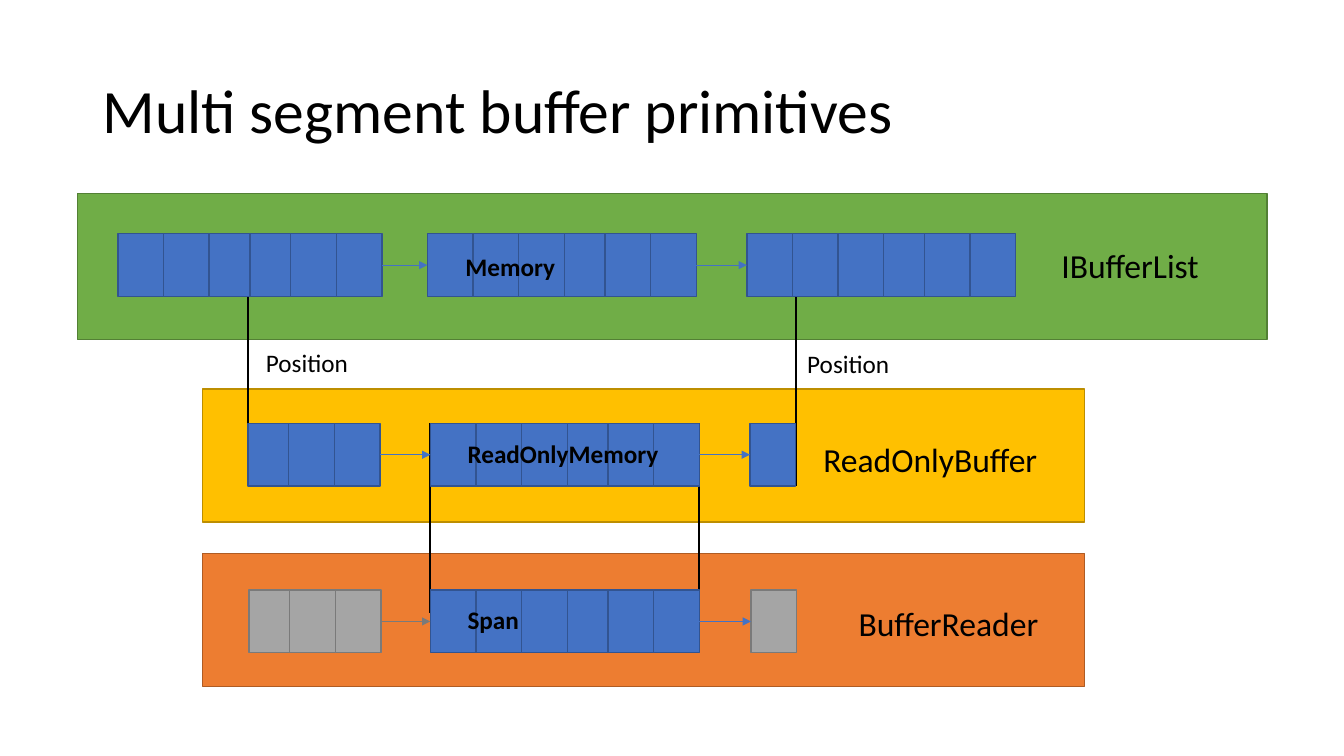
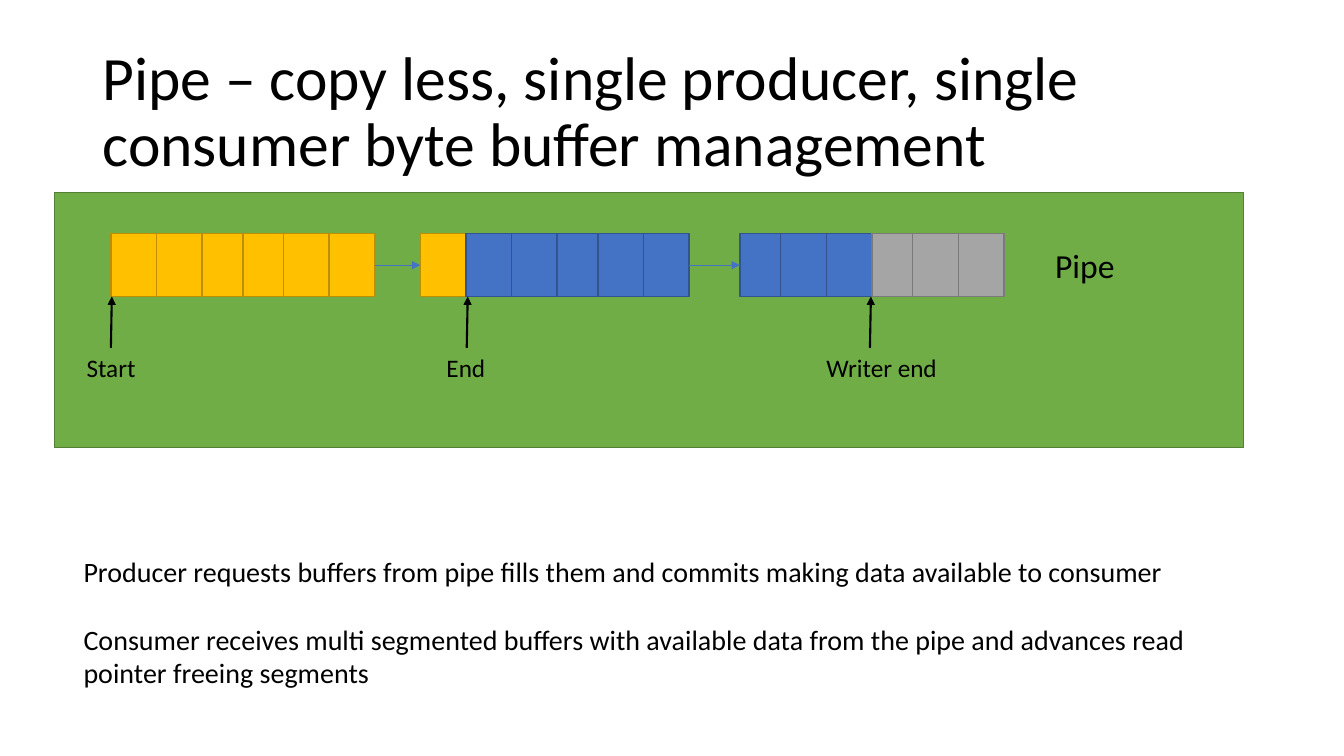
from lxml import etree
from pptx import Presentation
from pptx.dml.color import RGBColor
from pptx.enum.shapes import MSO_CONNECTOR, MSO_SHAPE
from pptx.enum.text import MSO_ANCHOR, MSO_AUTO_SIZE
from pptx.oxml.ns import qn
from pptx.util import Pt

RECTANGLE = MSO_SHAPE.RECTANGLE
STRAIGHT = MSO_CONNECTOR.STRAIGHT
MIDDLE = MSO_ANCHOR.MIDDLE
FIT_SHAPE = MSO_AUTO_SIZE.SHAPE_TO_FIT_TEXT

FONT = "Calibri"
BLACK, WHITE = "000000", "FFFFFF"
# Fill and outline of each colour, keyed by its initial
PALETTE = {
    "B": ("4472C4", "325491"),
    "Y": ("FFC000", "BD8E00"),
    "A": ("A5A5A5", "7A7A7A"),
    "G": ("70AD47", "538035"),
    "O": ("ED7D31", "AF5C24"),
}
TITLE_BOX = (66.2, 28.8, 828, 104.4)
CELL_WIDTH, CELL_HEIGHT, TIGHT_STEP = 32.6, 44.8, 29.1
LINK_LENGTH = 135.4
POINTER_BASE, POINTER_TIP = 248.4, 211.8
POINTER_SLANT = 0.7

# band: colour, left, top, width, height
# row: top, [(left, cells)]; a lower-case cell overlaps the one before it
# name, tag, note: text, left, top, width
# link: left, top; pointer: left of its base
SLIDES = [
    {
        "title": "Multi segment buffer primitives",
        "bands": [
            ("O", 144.7, 395.3, 630, 95),
            ("Y", 144.7, 277.9, 630, 95),
            ("G", 55.4, 138.2, 849.6, 104.4),
        ],
        "links": [(499, 302.4), (307.4, 302.4), (177.1, 211.7), (568.8, 211.7)],
        "rows": [
            (167, [(84.2, "BBBbbB"), (305.3, "BBBBbB"), (533.5, "BBBBbB")]),
            (302.4, [(177.1, "BbB"), (307.4, "BBBBbB"), (535.7, "B")]),
            (421.5, [(177.8, "AaA"), (307.4, "BBBBbB"), (536.4, "A")]),
        ],
        "names": [
            ("IBufferList", 751, 171.4, 114.5),
            ("ReadOnlyBuffer", 581, 310.3, 169.2),
            ("BufferReader", 606.2, 427, 144.7),
        ],
        "tags": [
            ("Memory", 325.4, 175.7, 79.2),
            ("ReadOnlyMemory", 326.9, 309.6, 151.9),
            ("Span", 326.9, 428.4, 51.8),
        ],
        "notes": [("Position", 182.9, 244.8, 73.4), ("Position", 569.5, 245.5, 73.4)],
        "pointers": [],
        "body": [],
    },
    {
        "title": "Pipe – copy less, single producer, single consumer byte buffer management",
        "bands": [("G", 38.9, 137.5, 849.6, 182.2)],
        "links": [],
        "rows": [(167, [(79.2, "YYYyyY"), (300.2, "YBBBbB"), (528.5, "BbBAaA")])],
        "names": [("Pipe", 746.6, 171.4, 57.6)],
        "tags": [],
        "notes": [
            ("Start", 54.7, POINTER_BASE, 49.7),
            ("End", 311.8, POINTER_BASE, 42.5),
            ("Writer end", 583.2, POINTER_BASE, 94.3),
        ],
        "pointers": [79.2, 333.4, 621.4],
        "body": [
            "Producer requests buffers from pipe fills them and commits making data available to consumer",
            "Consumer receives multi segmented buffers with available data from the pipe "
            "and advances read pointer freeing segments",
        ],
    },
]
BODY_BOX = (52.6, 392.4, 861.1, 104.4)


def rgb(color):
    return RGBColor.from_string(color)


def add_box(slide, colour, left, top, width, height):
    fill, outline = PALETTE[colour]
    box = slide.shapes.add_shape(RECTANGLE, Pt(left), Pt(top), Pt(width), Pt(height))
    box.shadow.inherit = False
    box.fill.solid()
    box.fill.fore_color.rgb = rgb(fill)
    box.line.color.rgb = rgb(outline)
    box.line.width = Pt(1)


def add_line(slide, start, end, color, width, arrow=False):
    line = slide.shapes.add_connector(STRAIGHT, *map(Pt, start + end))
    line.line.color.rgb = rgb(color)
    line.line.width = Pt(width)
    if arrow:
        etree.SubElement(line.line._get_or_add_ln(), qn("a:tailEnd"), type="triangle")
    etree.SubElement(line._element.spPr, qn("a:effectLst"))


def outline_text(run):
    """Give the letters a thin white outline."""
    outline = etree.Element(qn("a:ln"), w=str(Pt(0.75)))
    fill = etree.SubElement(outline, qn("a:solidFill"))
    etree.SubElement(fill, qn("a:srgbClr"), val=WHITE)
    run.font._element.insert(0, outline)


def add_text(slide, paragraphs, left, top, width, height, size, wrap=False, bold=False):
    frame = slide.shapes.add_textbox(Pt(left), Pt(top), Pt(width), Pt(height)).text_frame
    frame.text = "\n".join(paragraphs)
    frame.word_wrap = wrap
    frame.auto_size = FIT_SHAPE
    for paragraph in frame.paragraphs:
        for run in paragraph.runs:
            run.font.name = FONT
            run.font.size = Pt(size)
            run.font.color.rgb = rgb(BLACK)
            if bold:
                run.font.bold = True
                outline_text(run)
    return frame


def add_title(slide, title):
    frame = add_text(slide, [title], *TITLE_BOX, 44, wrap=True)
    frame.auto_size = MSO_AUTO_SIZE.NONE
    frame.vertical_anchor = MIDDLE
    frame.paragraphs[0].line_spacing = 0.9


def add_segment(slide, left, top, cells):
    """Draw the cells of one segment and return its right edge."""
    for index, cell in enumerate(cells):
        if index:
            left += TIGHT_STEP if cell.islower() else CELL_WIDTH
        add_box(slide, cell.upper(), left, top, CELL_WIDTH, CELL_HEIGHT)
    return left + CELL_WIDTH


def add_row(slide, top, segments):
    ends = [add_segment(slide, left, top, cells) for left, cells in segments]
    middle = top + CELL_HEIGHT / 2
    for end, (_, cells), (next_left, _) in zip(ends, segments, segments[1:]):
        color, width = (PALETTE["A"][1], 1) if cells[-1] == "A" else (PALETTE["B"][0], 0.5)
        add_line(slide, (end, middle), (next_left, middle), color, width, arrow=True)


def add_body(slide, paragraphs):
    frame = add_text(slide, paragraphs, *BODY_BOX, 20, wrap=True)
    for paragraph in frame.paragraphs[1:]:
        paragraph.space_before = Pt(24.4)


def build_slide(slide, content):
    for band in content["bands"]:
        add_box(slide, *band)
    add_title(slide, content["title"])
    for left, top in content["links"]:
        add_line(slide, (left, top), (left, top + LINK_LENGTH), BLACK, 1.5)
    for top, segments in content["rows"]:
        add_row(slide, top, segments)
    for left in content["pointers"]:
        add_line(slide, (left, POINTER_BASE), (left + POINTER_SLANT, POINTER_TIP), BLACK, 1.5, arrow=True)
    for name, left, top, width in content["names"]:
        add_text(slide, [name], left, top, width, 36.4, 24)
    for tag, left, top, width in content["tags"]:
        add_text(slide, [tag], left, top, width, 29.1, 18, bold=True)
    for note, left, top, width in content["notes"]:
        add_text(slide, [note], left, top, width, 29.1, 18)
    if content["body"]:
        add_body(slide, content["body"])


def main():
    deck = Presentation()
    deck.slide_width, deck.slide_height = Pt(960), Pt(540)
    blank = deck.slide_layouts[6]
    for content in SLIDES:
        build_slide(deck.slides.add_slide(blank), content)
    deck.save("out.pptx")


if __name__ == "__main__":
    main()
